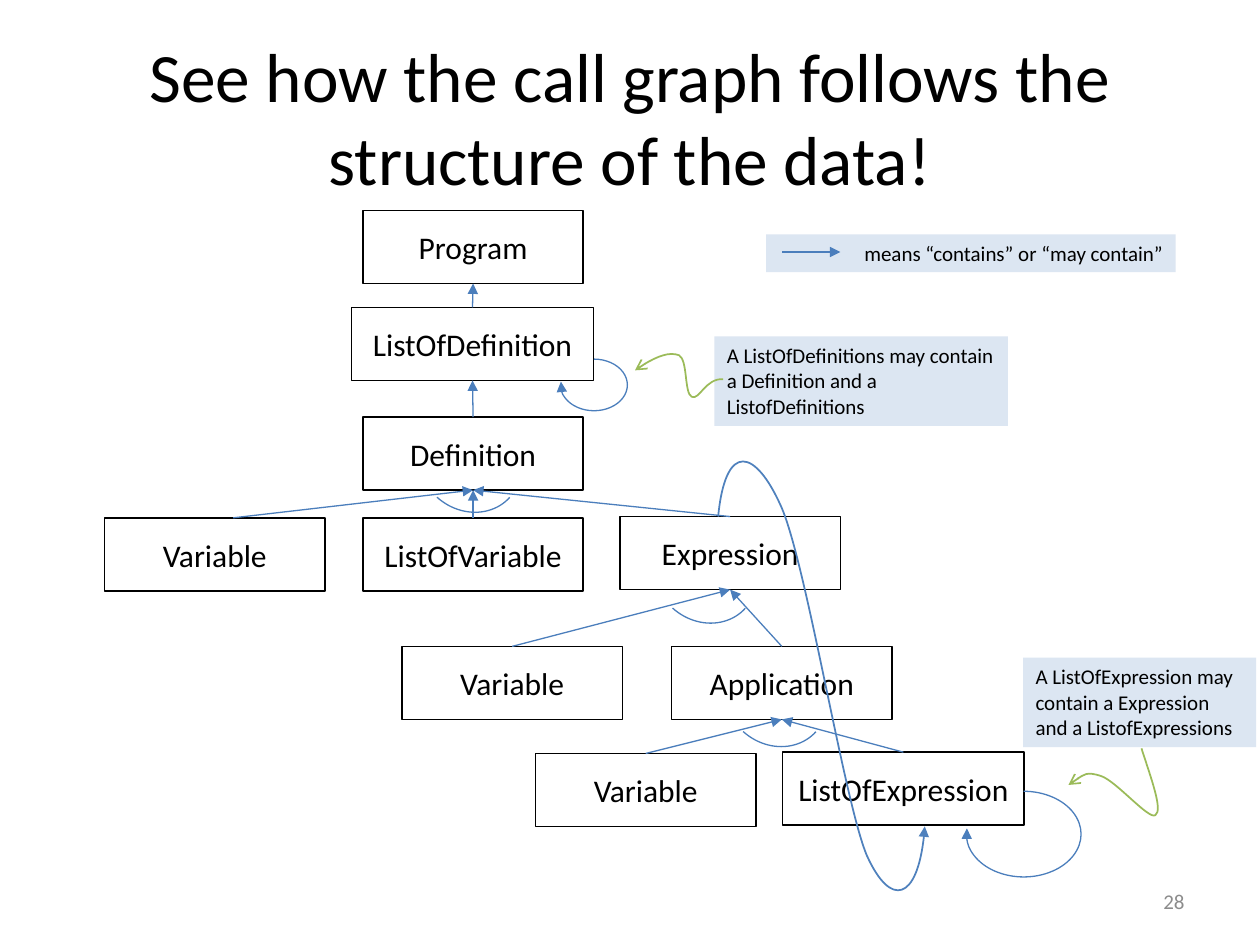
from lxml.etree import SubElement
from pptx import Presentation
from pptx.dml.color import RGBColor
from pptx.enum.shapes import MSO_CONNECTOR, MSO_SHAPE
from pptx.enum.text import MSO_ANCHOR as ANCHOR, PP_ALIGN as ALIGN
from pptx.oxml.ns import qn
from pptx.util import Inches, Pt

BLACK = RGBColor(0x00, 0x00, 0x00)
WHITE = RGBColor(0xFF, 0xFF, 0xFF)
GRAY = RGBColor(0x8C, 0x8C, 0x8C)
BLUE = RGBColor(0x4B, 0x7E, 0xBC)
STRONG_BLUE = RGBColor(0x4F, 0x81, 0xBD)
GREEN = RGBColor(0x9B, 0xBB, 0x59)
PALE_BLUE = RGBColor(0xDC, 0xE6, 0xF2)


def write(shape, text, size, align, anchor=ANCHOR.MIDDLE, color=BLACK):
    frame = shape.text_frame
    frame.word_wrap = True
    frame.vertical_anchor = anchor
    paragraph = frame.paragraphs[0]
    paragraph.text = text
    paragraph.alignment = align
    paragraph.font.name = "Calibri"
    paragraph.font.size = Pt(size)
    paragraph.font.color.rgb = color


def draw_line(shape, color, width, arrowhead=None):
    shape.line.color.rgb = color
    shape.line.width = Pt(width)
    properties = shape.element.spPr
    if arrowhead:
        SubElement(properties.find(qn("a:ln")), qn("a:tailEnd"), type=arrowhead)
    SubElement(properties, qn("a:effectLst"))


prs = Presentation()
prs.slide_width, prs.slide_height = Inches(10), Inches(7.5)
slide = prs.slides.add_slide(prs.slide_layouts[6])
shapes = slide.shapes

title = shapes.add_textbox(Inches(0.5), Inches(0.3), Inches(9), Inches(1.25))
title.fill.solid()
title.fill.fore_color.rgb = WHITE
write(title, "See how the call graph follows the structure of the data!", 39.6, ALIGN.CENTER)
page_number = shapes.add_textbox(Inches(7.17), Inches(6.95), Inches(2.33), Inches(0.4))
write(page_number, "28", 12, ALIGN.RIGHT, color=GRAY)

nodes = {}
for key, label, left, top, width in [
    ("expression variable", "Variable", 3.19, 5.13, 1.75),
    ("application", "Application", 5.33, 5.13, 1.75),
    ("expression", "Expression", 4.92, 4.1, 1.75),
    ("variables", "ListOfVariable", 2.88, 4.11, 1.75),
    ("defined variable", "Variable", 0.83, 4.11, 1.75),
    ("definition", "Definition", 2.88, 3.31, 1.75),
    ("definitions", "ListOfDefinition", 2.79, 2.44, 1.92),
    ("program", "Program", 2.88, 1.67, 1.75),
    ("expressions", "ListOfExpression", 6.21, 5.97, 1.92),
    ("applied variable", "Variable", 4.25, 5.98, 1.75),
]:
    node = shapes.add_shape(MSO_SHAPE.RECTANGLE, Inches(left), Inches(top),
                            Inches(width), Inches(0.58))
    node.fill.background()
    draw_line(node, BLACK, 1)
    write(node, label, 18, ALIGN.CENTER)
    nodes[key] = node

for child, parent in [
    ("definitions", "program"),
    ("definition", "definitions"),
    ("defined variable", "definition"),
    ("variables", "definition"),
    ("expression", "definition"),
    ("expression variable", "expression"),
    ("application", "expression"),
    ("applied variable", "application"),
    ("expressions", "application"),
]:
    edge = shapes.add_connector(MSO_CONNECTOR.STRAIGHT, Inches(1.85), Inches(4.11), 0, 0)
    if child != "defined variable":
        edge.begin_connect(nodes[child], 0)
    edge.end_connect(nodes[parent], 2)
    draw_line(edge, BLUE, 0.75, "triangle")

for text, left, top, width, height, align in [
    ("A ListOfDefinitions may contain a Definition and a ListofDefinitions",
     5.67, 2.67, 2.33, 0.71, ALIGN.LEFT),
    ("A ListOfExpression may contain a Expression and a ListofExpressions",
     8.12, 5.22, 1.85, 0.71, ALIGN.LEFT),
    ("means “contains” or “may contain”", 6.08, 1.86, 3.25, 0.3, ALIGN.RIGHT),
]:
    note = shapes.add_textbox(Inches(left), Inches(top), Inches(width), Inches(height))
    note.fill.solid()
    note.fill.fore_color.rgb = PALE_BLUE
    write(note, text, 12, align, ANCHOR.TOP)

legend_arrow = shapes.add_connector(MSO_CONNECTOR.STRAIGHT, Inches(6.21), Inches(2),
                                    Inches(6.67), Inches(2))
draw_line(legend_arrow, BLUE, 0.75, "triangle")

for left, top, width, height in [(7.67, 6.28, 0.91, 0.68), (4.45, 2.85, 0.53, 0.41)]:
    self_loop = shapes.add_shape(MSO_SHAPE.ARC, Inches(left), Inches(top),
                                 Inches(width), Inches(height))
    self_loop.adjustments[0] = 162
    self_loop.adjustments[1] = 111.43
    self_loop.fill.background()
    draw_line(self_loop, BLUE, 0.75, "triangle")

for left, top in [(3.34, 3.23), (5.77, 5.09), (5.21, 4.11)]:
    branch_arc = shapes.add_shape(MSO_SHAPE.ARC, Inches(left), Inches(top),
                                  Inches(0.77), Inches(0.86))
    branch_arc.rotation = 132
    branch_arc.fill.background()
    draw_line(branch_arc, BLUE, 0.75)

for left, top, width, height, color, arrowhead, knots in [
    (5.04, 2.81, 0.7, 0.34, GREEN, "arrow",
     [(5.74, 3.01), (5.6, 3), (5.55, 3.18), (5.49, 3.15), (5.43, 3.12),
      (5.46, 2.86), (5.39, 2.82), (5.31, 2.79), (5.16, 2.85), (5.04, 2.94)]),
    (5.7, 3.66, 1.63, 3.4, STRONG_BLUE, "triangle",
     [(5.7, 4.1), (5.76, 3.49), (6, 3.57), (6.2, 4.02), (6.4, 4.47),
      (6.7, 6.36), (6.88, 6.79), (7.07, 7.21), (7.3, 7.14), (7.34, 6.56)]),
    (8.48, 5.94, 0.71, 0.53, GREEN, "arrow",
     [(9.06, 5.94), (9.14, 6.19), (9.23, 6.43), (9.17, 6.47), (9.12, 6.51),
      (8.86, 6.2), (8.74, 6.16), (8.62, 6.12), (8.55, 6.18), (8.48, 6.23)]),
]:
    builder = shapes.build_freeform(Inches(left), Inches(top))
    builder.add_line_segments([(Inches(left + width), Inches(top + height))], close=False)
    curve = builder.convert_to_shape()
    outline = next(curve.element.iter(qn("a:path")))
    for straight_part in list(outline):
        outline.remove(straight_part)
    for index, (x, y) in enumerate(knots):
        if index == 0:
            segment = SubElement(outline, qn("a:moveTo"))
        elif index % 3 == 1:
            segment = SubElement(outline, qn("a:cubicBezTo"))
        SubElement(segment, qn("a:pt"), x=str(Inches(x - left)), y=str(Inches(y - top)))
    curve.fill.background()
    draw_line(curve, color, 1, arrowhead)

prs.save("out.pptx")
